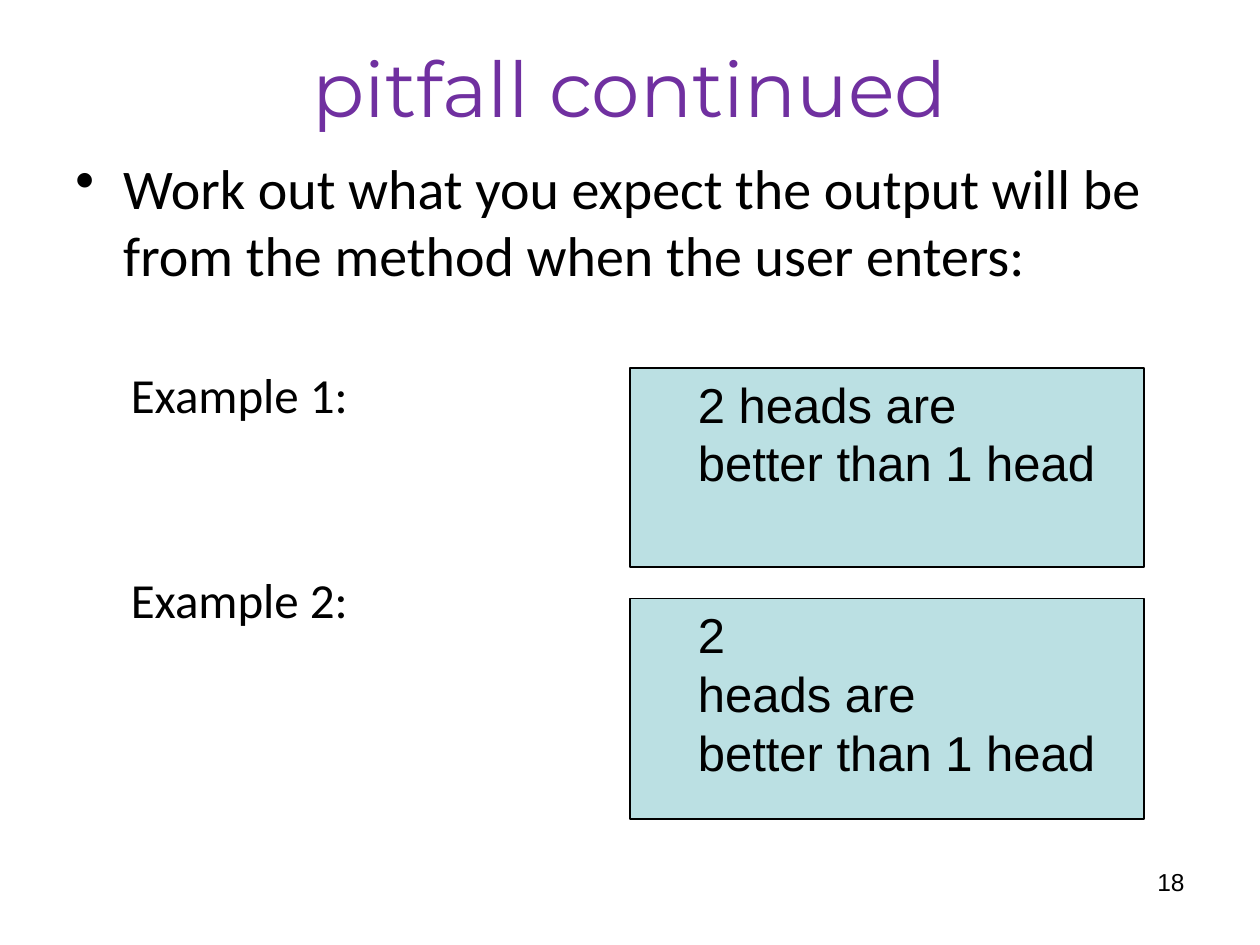
"""Build the slide on the input pitfall with two worked examples."""
import pptx
import pptx.util
import pptx.dml.color
import pptx.enum.shapes
import pptx.enum.text
import pptx.oxml.ns
from lxml import etree

Inches, Pt = pptx.util.Inches, pptx.util.Pt
ALIGN = pptx.enum.text.PP_ALIGN
ANCHOR = pptx.enum.text.MSO_ANCHOR

THEME = {
    "title": ("Montserrat", 44, "7030A0"),
    "lead": ("Calibri", 32, "000000"),
    "label": ("Calibri", 28, "000000"),
    "input": ("Arial", 28, "000000"),
    "number": ("Arial", 14, "000000"),
    "fill": "BBE0E3",
    "line": "000000",
}

TITLE = "pitfall continued"
BODY = [
    ("Work out what you expect the output will be from the method when the user enters:", "lead", 0),
    ("Example 1:", "label", 43.5),
    ("Example 2:", "label", 83.5),
]
INPUTS = [
    (2.92, 1.58, ["2 heads are", "better than 1 head"]),
    (4.75, 1.75, ["2", "heads are", "better than 1 head"]),
]
NUMBER = "18"


def color(name):
    return pptx.dml.color.RGBColor.from_string(name)


def style(para, role, align=ALIGN.LEFT):
    face, size, ink = THEME[role]
    para.alignment = align
    para.font.name = face
    para.font.size = Pt(size)
    para.font.color.rgb = color(ink)


def indent(para, left, first=0, bullet=None):
    props = para._p.get_or_add_pPr()
    props.set("marL", str(Inches(left)))
    props.set("indent", str(Inches(first)))
    if bullet:
        mark = etree.SubElement(props, pptx.oxml.ns.qn("a:buChar"))
        mark.set("char", bullet)


def place(shape, left, top, width, height):
    shape.left, shape.top = Inches(left), Inches(top)
    shape.width, shape.height = Inches(width), Inches(height)


def text_box(slide, *area):
    box = slide.shapes.add_textbox(*map(Inches, area))
    box.text_frame.word_wrap = True
    return box.text_frame


def add_title(slide):
    title = slide.shapes.title
    place(title, 0.5, 0.3, 9, 0.78)
    title.text_frame.text = TITLE
    title.text_frame.vertical_anchor = ANCHOR.MIDDLE
    style(title.text_frame.paragraphs[0], "title", ALIGN.CENTER)


def add_body(slide):
    frame = text_box(slide, 0.5, 1.17, 9, 5.53)
    frame.text = "\n".join(text for text, _, _ in BODY)
    for para, (_, role, gap) in zip(frame.paragraphs, BODY):
        if role == "lead":
            indent(para, 0.38, -0.38, "•")
        else:
            indent(para, 0.44)
            para.space_before = Pt(gap)
        style(para, role)


def add_input(slide, top, height, lines):
    box = slide.shapes.add_shape(
        pptx.enum.shapes.MSO_SHAPE.RECTANGLE,
        Inches(5), Inches(top), Inches(4.08), Inches(height))
    box.shadow.inherit = False
    box.fill.solid()
    box.fill.fore_color.rgb = color(THEME["fill"])
    box.line.color.rgb = color(THEME["line"])
    box.line.width = Pt(0.75)
    frame = box.text_frame
    frame.vertical_anchor = ANCHOR.TOP
    frame.text = "\n".join(lines)
    for para in frame.paragraphs:
        indent(para, 0.44)
        style(para, "input")


def add_number(slide):
    frame = text_box(slide, 7.17, 6.83, 2.33, 0.52)
    frame.text = NUMBER
    style(frame.paragraphs[0], "number", ALIGN.RIGHT)


def main():
    deck = pptx.Presentation()
    deck.slide_width, deck.slide_height = Inches(10), Inches(7.5)
    slide = deck.slides.add_slide(deck.slide_layouts[5])
    add_title(slide)
    add_body(slide)
    add_number(slide)
    for top, height, lines in INPUTS:
        add_input(slide, top, height, lines)
    deck.save("out.pptx")


if __name__ == "__main__":
    main()
